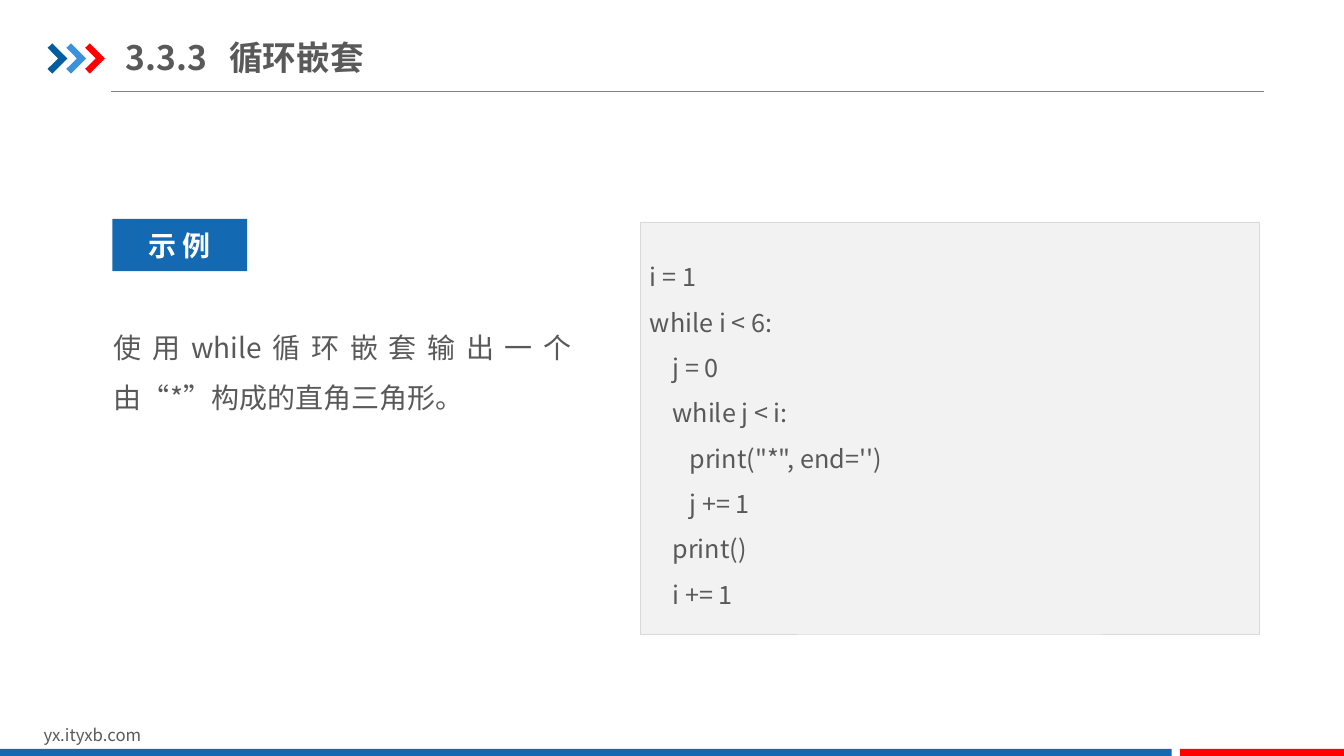
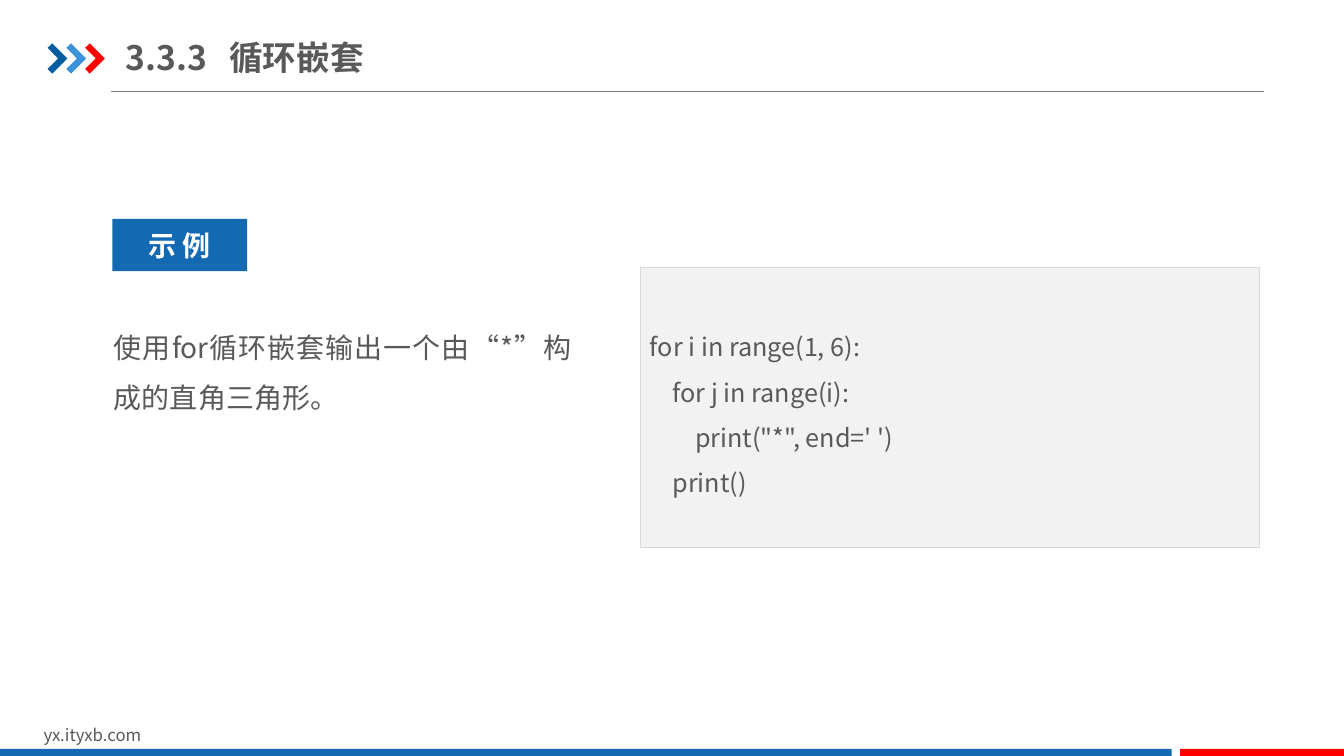
from lxml import etree
from pptx import Presentation
from pptx.dml.color import RGBColor
from pptx.enum.shapes import MSO_CONNECTOR, MSO_SHAPE
from pptx.enum.text import MSO_ANCHOR, PP_ALIGN
from pptx.oxml.ns import qn
from pptx.util import Pt

RECTANGLE = MSO_SHAPE.RECTANGLE
STRAIGHT = MSO_CONNECTOR.STRAIGHT
TOP, MIDDLE = MSO_ANCHOR.TOP, MSO_ANCHOR.MIDDLE
LEFT, CENTER, JUSTIFY = PP_ALIGN.LEFT, PP_ALIGN.CENTER, PP_ALIGN.JUSTIFY

FONT = "Noto Sans CJK SC"
BLUE, DARK_BLUE, LIGHT_BLUE = "1369B2", "005DA2", "3992DB"
RED, WHITE, TEXT = "FF0000", "FFFFFF", "595959"
RULE, PANEL, PANEL_EDGE = "808080", "F2F2F2", "D9D9D9"

SLIDE_WIDTH, SLIDE_HEIGHT = 960, 540
CHEVRON = [(0, 3.2), (3.4, 0), (14.2, 10.8), (3.4, 21.6), (0, 18.2), (7.6, 10.8)]
CHEVRON_STEP = 13.4

TITLE = {"size": Pt(24), "bold": True}
TAG = {"size": Pt(20), "bold": True}
STATEMENT = {"size": Pt(20)}
CODE = {"size": Pt(18)}
FOOTER = {"size": Pt(12)}

WHILE_CODE = """i = 1
while i < 6:
    j = 0
    while j < i:
       print("*", end='')
       j += 1
    print()
    i += 1"""
FOR_CODE = """for i in range(1, 6):
    for j in range(i):
        print("*", end=' ')
    print()"""

EXAMPLES = [
    {"keyword": "while", "code": WHILE_CODE, "code_box": (457.2, 158.4, 442, 294.5)},
    {"keyword": "for", "code": FOR_CODE, "code_box": (457.2, 190.8, 442, 200)},
]


def color(hex_value):
    return RGBColor.from_string(hex_value)


def points(box):
    return [Pt(value) for value in box]


def paint(shape, fill, edge=None):
    shape.shadow.inherit = False
    shape.fill.solid()
    shape.fill.fore_color.rgb = color(fill)
    if edge:
        shape.line.color.rgb = color(edge)
        shape.line.width = Pt(0.25)
    else:
        shape.line.fill.background()


def add_rectangle(slide, box, fill, edge=None):
    shape = slide.shapes.add_shape(RECTANGLE, *points(box))
    paint(shape, fill, edge)
    return shape


def write(shape, lines, style, text_color=TEXT, align=LEFT, anchor=TOP,
          insets=(7.2, 3.6), spacing=1.0, tab=None):
    """Fill a shape with one paragraph per line; tab is an optional tab stop."""
    frame = shape.text_frame
    frame.word_wrap = True
    frame.vertical_anchor = anchor
    frame.margin_left = frame.margin_right = Pt(insets[0])
    frame.margin_top = frame.margin_bottom = Pt(insets[1])
    for index, line in enumerate(lines):
        paragraph = frame.paragraphs[0] if index == 0 else frame.add_paragraph()
        paragraph.alignment = align
        paragraph.line_spacing = spacing
        if tab:
            stops = etree.SubElement(paragraph._p.get_or_add_pPr(), qn("a:tabLst"))
            etree.SubElement(stops, qn("a:tab"), pos=str(Pt(tab)), algn="l")
        run = paragraph.add_run()
        run.text = line
        run.font.color.rgb = color(text_color)
        for name, value in {"name": FONT, **style}.items():
            setattr(run.font, name, value)
        etree.SubElement(run._r.get_or_add_rPr(), qn("a:ea"), typeface=FONT)


def add_text(slide, box, lines, style, **options):
    write(slide.shapes.add_textbox(*points(box)), lines, style, **options)


def add_header(slide, box, title):
    left, top, width, height = box
    for index, fill in enumerate((DARK_BLUE, LIGHT_BLUE, RED)):
        chevron_left = left + index * CHEVRON_STEP
        outline = [(Pt(chevron_left + x), Pt(top + 10 + y)) for x, y in CHEVRON]
        builder = slide.shapes.build_freeform(*outline[0], scale=1.0)
        builder.add_line_segments(outline[1:], close=True)
        paint(builder.convert_to_shape(), fill)
    bottom = top + height
    ends = points((left + 45.2, bottom, left + width, bottom))
    rule = slide.shapes.add_connector(STRAIGHT, *ends)
    rule.line.color.rgb = color(RULE)
    rule.line.width = Pt(0.75)
    etree.SubElement(rule._element.spPr, qn("a:effectLst"))
    add_text(slide, (left + 56, top, 361.4, 39.6), [title], TITLE,
             anchor=MIDDLE, insets=(0, 5), tab=73.8)


def add_footer(slide, box):
    left, top, width, height = box
    red_width, gap, bar_height = 117, 6, 5
    bar_top = top + height - bar_height
    add_text(slide, (left + 24, top, 229, 21.6), ["yx.ityxb.com"], FOOTER)
    add_rectangle(slide, (left, bar_top, width - red_width - gap, bar_height), BLUE)
    add_rectangle(slide, (left + width - red_width, bar_top, red_width, bar_height), RED)


def add_task(slide, box, keyword):
    """Place the example tag above the statement of the task."""
    left, top, width, height = box
    tag = add_rectangle(slide, (left + 8.2, top, 96.4, 37.4), BLUE)
    write(tag, ["示 例"], TAG, text_color=WHITE, align=CENTER, anchor=MIDDLE)
    statement_top = 62.6
    add_text(slide, (left, top + statement_top, width, height - statement_top),
             [f"使用{keyword}循环嵌套输出一个由“*”构成的直角三角形。"], STATEMENT,
             align=JUSTIFY, insets=(9.4, 5), spacing=1.5)


def add_code(slide, box, code):
    panel = add_rectangle(slide, box, PANEL, PANEL_EDGE)
    write(panel, code.split("\n"), CODE, anchor=MIDDLE, spacing=1.5)


def add_example_slide(presentation, keyword, code, code_box):
    slide = presentation.slides.add_slide(presentation.slide_layouts[6])
    add_header(slide, (34, 21, 868.9, 44.5), "3.3.3\t循环嵌套")
    add_footer(slide, (0, 514, SLIDE_WIDTH, SLIDE_HEIGHT - 514))
    add_code(slide, code_box, code)
    add_task(slide, (72, 156.3, 345.6, 144.7), keyword)


def main():
    presentation = Presentation()
    presentation.slide_width = Pt(SLIDE_WIDTH)
    presentation.slide_height = Pt(SLIDE_HEIGHT)
    for example in EXAMPLES:
        add_example_slide(presentation, **example)
    presentation.save("out.pptx")


if __name__ == "__main__":
    main()
